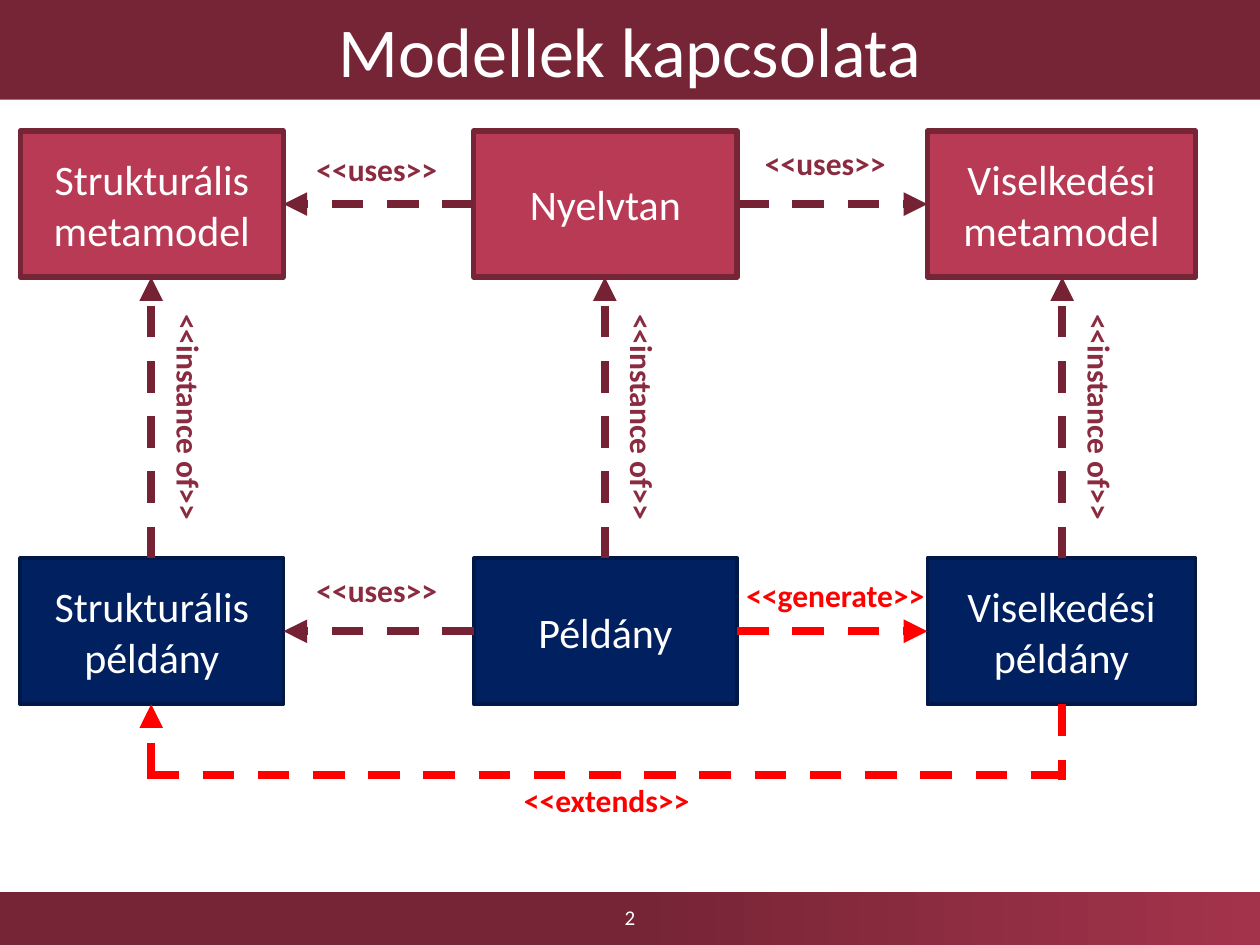
from lxml import etree
from pptx import Presentation
from pptx.dml.color import RGBColor
from pptx.enum.dml import MSO_LINE
from pptx.enum.shapes import MSO_CONNECTOR, MSO_SHAPE
from pptx.enum.text import MSO_ANCHOR, MSO_AUTO_SIZE, PP_ALIGN
from pptx.oxml.ns import qn
from pptx.util import Inches, Pt

WHITE = RGBColor(0xFF, 0xFF, 0xFF)
WINE = RGBColor(0x76, 0x25, 0x36)
LIGHT_WINE = RGBColor(0xA3, 0x33, 0x4B)
ROSE = RGBColor(0xB8, 0x3A, 0x55)
NAVY = RGBColor(0x00, 0x20, 0x60)
DARK_NAVY = RGBColor(0x00, 0x18, 0x47)
ARROW_WINE = RGBColor(0x75, 0x22, 0x34)
LABEL_WINE = RGBColor(0x8A, 0x2B, 0x40)
RED = RGBColor(0xFF, 0x00, 0x00)

RECTANGLE = MSO_SHAPE.RECTANGLE
STRAIGHT = MSO_CONNECTOR.STRAIGHT
DASH = MSO_LINE.DASH
CENTER = PP_ALIGN.CENTER
MIDDLE, TOP = MSO_ANCHOR.MIDDLE, MSO_ANCHOR.TOP
NO_AUTOFIT = MSO_AUTO_SIZE.NONE

FONT = "Calibri"
COLUMNS = [(0.16, 2.09), (3.76, 2.09), (7.36, 2.13)]
CENTERS = [round(left + width / 2, 2) for left, width in COLUMNS]
META_TOP, INSTANCE_TOP, BOX_HEIGHT = 1.04, 4.43, 1.16
LABEL_HEIGHT = 0.4


def inches(*values):
    """Convert several numbers to lengths."""
    return [Inches(value) for value in values]


def write_text(shape, text, size=24, color=WHITE, bold=False, anchor=MIDDLE):
    """Fill a shape with one centred, formatted paragraph."""
    frame = shape.text_frame
    frame.word_wrap = True
    frame.auto_size = NO_AUTOFIT
    frame.vertical_anchor = anchor
    paragraph = frame.paragraphs[0]
    paragraph.alignment = CENTER
    run = paragraph.add_run()
    run.text = text
    run.font.name, run.font.size, run.font.bold = FONT, Pt(size), bold
    run.font.color.rgb = color


def add_label(slide, text, box, color=LABEL_WINE, rotation=0):
    """Add a bold relation label in the given box."""
    label = slide.shapes.add_textbox(*inches(*box))
    label.rotation = rotation
    write_text(label, text, size=18, color=color, bold=True, anchor=TOP)


def add_dashed_line(slide, start, end, color=ARROW_WINE, arrow=True):
    """Add a dashed line, with an arrowhead at its end if wanted."""
    connector = slide.shapes.add_connector(STRAIGHT, *inches(*start, *end))
    connector.line.color.rgb = color
    connector.line.width = Pt(4.5)
    connector.line.dash_style = DASH
    properties = connector._element.spPr
    if arrow:
        outline = properties.find(qn("a:ln"))
        etree.SubElement(outline, qn("a:tailEnd"), type="triangle")
    etree.SubElement(properties, qn("a:effectLst"))


def add_header(slide, box):
    """Turn the title placeholder into the header band."""
    title = slide.shapes.title
    title.left, title.top, title.width, title.height = inches(*box)
    title.fill.solid()
    title.fill.fore_color.rgb = WINE
    write_text(title, "Modellek kapcsolata", size=40)


def add_footer(slide, box):
    """Draw the gradient footer band with the page number."""
    left, top, width, height = box
    band = slide.shapes.add_shape(RECTANGLE, *inches(*box))
    band.shadow.inherit = False
    band.line.fill.background()
    band.fill.gradient()
    band.fill.gradient_angle = 0
    stops = zip(band.fill.gradient_stops, (0.5, 1), (WINE, LIGHT_WINE))
    for stop, position, color in stops:
        stop.position = position
        stop.color.rgb = color
    number_width = 2.25
    number_left = left + (width - number_width) / 2
    number = slide.shapes.add_textbox(
        *inches(number_left, top, number_width, 0.4))
    write_text(number, "2", size=12)


def add_model_row(slide, top, names, fill, outline, line_width):
    """Draw one row of three model boxes."""
    for (left, width), name in zip(COLUMNS, names):
        model = slide.shapes.add_shape(
            RECTANGLE, *inches(left, top, width, BOX_HEIGHT))
        model.shadow.inherit = False
        model.fill.solid()
        model.fill.fore_color.rgb = fill
        model.line.color.rgb = outline
        model.line.width = Pt(line_width)
        write_text(model, name)


def add_row_arrows(slide, top, right_color=ARROW_WINE):
    """Link the middle box of a row to both of its neighbours."""
    (first, first_width), (middle, middle_width), (last, _) = COLUMNS
    center = top + BOX_HEIGHT / 2
    add_dashed_line(slide, (middle, center), (first + first_width, center))
    add_dashed_line(slide, (middle + middle_width, center), (last, center),
                    color=right_color)


def add_instance_arrows(slide):
    """Link each instance box to the metamodel above it."""
    width = 2.23
    for center in CENTERS:
        add_dashed_line(slide, (center, INSTANCE_TOP),
                        (center, META_TOP + BOX_HEIGHT))
        add_label(slide, "<<instance of>>",
                  (center + 0.3 - width / 2, 3.11, width, LABEL_HEIGHT),
                  rotation=90)


def add_extends_arrow(slide, top, drop):
    """Draw the red path from the last instance back to the first."""
    first, last = CENTERS[0], CENTERS[-1]
    low = top + drop
    add_dashed_line(slide, (first - 0.03, low), (last, low), RED, arrow=False)
    add_dashed_line(slide, (first, low), (first, top), RED)
    add_dashed_line(slide, (last, top), (last, low + 0.04), RED, arrow=False)
    add_label(slide, "<<extends>>", (first, low, last - first, LABEL_HEIGHT),
              color=RED)


def build_slide(presentation):
    """Build the diagram of related models."""
    slide = presentation.slides.add_slide(presentation.slide_layouts[5])
    add_footer(slide, (0, 7.08, 10, 0.42))
    add_header(slide, (0, 0, 10, 0.79))
    add_model_row(
        slide, META_TOP,
        ["Strukturális metamodel", "Nyelvtan", "Viselkedési metamodel"],
        ROSE, WINE, 3)
    add_model_row(
        slide, INSTANCE_TOP,
        ["Strukturális példány", "Példány", "Viselkedési példány"],
        NAVY, DARK_NAVY, 2)
    add_instance_arrows(slide)
    add_row_arrows(slide, META_TOP)
    add_row_arrows(slide, INSTANCE_TOP, right_color=RED)
    add_extends_arrow(slide, INSTANCE_TOP + BOX_HEIGHT, 0.56)
    for left, top in [(2.25, 1.14), (5.81, 1.09), (2.25, 4.48)]:
        add_label(slide, "<<uses>>", (left, top, 1.48, LABEL_HEIGHT))
    add_label(slide, "<<generate>>", (5.77, 4.52, 1.72, LABEL_HEIGHT),
              color=RED)


def main():
    """Create and save the presentation."""
    presentation = Presentation()
    presentation.slide_width, presentation.slide_height = inches(10, 7.5)
    build_slide(presentation)
    presentation.save("out.pptx")


main()
